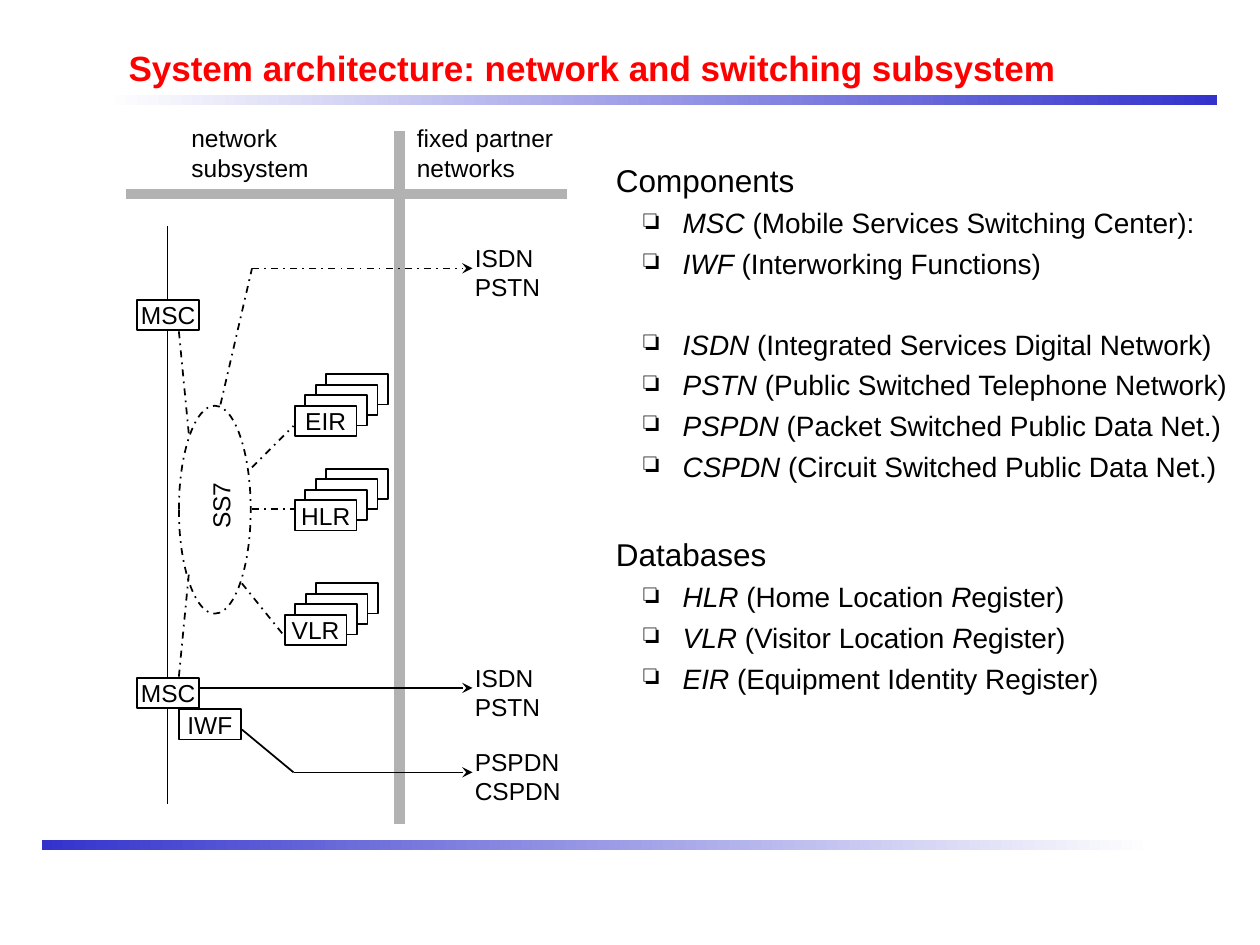
from lxml.etree import SubElement
from pptx import Presentation
from pptx.dml.color import RGBColor
from pptx.enum.dml import MSO_LINE
from pptx.enum.shapes import MSO_CONNECTOR, MSO_SHAPE
from pptx.enum.text import MSO_ANCHOR, MSO_AUTO_SIZE, PP_ALIGN
from pptx.oxml.ns import qn
from pptx.util import Inches, Pt

BLACK = RGBColor(0x00, 0x00, 0x00)
WHITE = RGBColor(0xFF, 0xFF, 0xFF)
RED = RGBColor(0xFF, 0x00, 0x00)
BLUE = RGBColor(0x33, 0x33, 0xCC)
GREY = RGBColor(0xB2, 0xB2, 0xB2)
FONT = "Arial"
BOX_WIDTH, BOX_HEIGHT = 0.49, 0.24
CARD_COUNT = 4
CARD_STEP = 0.25 / 3

COMPONENTS = [
    "*MSC* (Mobile Services Switching Center):",
    "*IWF* (Interworking Functions)",
]
NETWORKS = [
    "*ISDN* (Integrated Services Digital Network)",
    "*PSTN* (Public Switched Telephone Network)",
    "*PSPDN* (Packet Switched Public Data Net.)",
    "*CSPDN* (Circuit Switched Public Data Net.)",
]
DATABASES = [
    "*HLR* (Home Location *R*egister)",
    "*VLR* (Visitor Location *R*egister)",
    "*EIR* (Equipment Identity Register)",
]


def style_font(font, size, color=BLACK, bold=False, italic=False):
    """Set the typeface, size, colour and style of a font."""
    font.name = FONT
    font.size = Pt(size)
    font.color.rgb = color
    font.bold = bold
    font.italic = italic


def add_title(slide, wording):
    """Place and format the title placeholder."""
    title = slide.shapes.title
    title.left, title.top = Inches(0.92), Inches(0.25)
    title.width, title.height = Inches(8.5), Inches(0.5)
    frame = title.text_frame
    frame.text = wording
    frame.auto_size = MSO_AUTO_SIZE.NONE
    frame.vertical_anchor = MSO_ANCHOR.BOTTOM
    heading = frame.paragraphs[0]
    heading.alignment = PP_ALIGN.LEFT
    style_font(heading.runs[0].font, 20, RED, bold=True)


def add_bar(slide, left, top, colors):
    """Add a horizontal bar that fades between two colours."""
    bar = slide.shapes.add_shape(
        MSO_SHAPE.RECTANGLE, Inches(left), Inches(top), Inches(8.83), Inches(0.08))
    bar.shadow.inherit = False
    bar.line.fill.background()
    bar.fill.gradient()
    bar.fill.gradient_angle = 0
    for stop, color in zip(bar.fill.gradient_stops, colors):
        stop.color.rgb = color


def add_line(slide, start, end, color=BLACK, width=1, dashed=False, arrow=False):
    """Add a straight line, optionally dash-dotted or with an arrowhead."""
    line = slide.shapes.add_connector(
        MSO_CONNECTOR.STRAIGHT, *(Inches(value) for value in (*start, *end)))
    line.line.color.rgb = color
    line.line.width = Pt(width)
    if dashed:
        line.line.dash_style = MSO_LINE.DASH_DOT
    properties = line._element.spPr
    if arrow:
        SubElement(properties.find(qn("a:ln")), qn("a:tailEnd"), type="stealth")
    SubElement(properties, qn("a:effectLst"))


def add_outline(slide, kind, left, top, width, height, filled=False):
    """Add a black outlined shape and return it."""
    outline = slide.shapes.add_shape(
        kind, Inches(left), Inches(top), Inches(width), Inches(height))
    outline.shadow.inherit = False
    outline.line.color.rgb = BLACK
    outline.line.width = Pt(1)
    if filled:
        outline.fill.solid()
        outline.fill.fore_color.rgb = WHITE
    else:
        outline.fill.background()
    return outline


def add_box(slide, left, top, wording="", filled=False):
    """Add one network element box with an optional name."""
    box = add_outline(
        slide, MSO_SHAPE.RECTANGLE, left, top, BOX_WIDTH, BOX_HEIGHT, filled)
    if wording:
        frame = box.text_frame
        frame.text = wording
        frame.word_wrap = False
        frame.vertical_anchor = MSO_ANCHOR.MIDDLE
        frame.paragraphs[0].alignment = PP_ALIGN.CENTER
        style_font(frame.paragraphs[0].runs[0].font, 14)


def add_register(slide, left, top, wording):
    """Add a stack of boxes with the name on the front one."""
    for depth in reversed(range(CARD_COUNT)):
        offset = depth * CARD_STEP
        add_box(slide, left + offset, top - offset, "" if depth else wording, True)


def add_label(slide, left, top, width, wording, height=0.57, rotation=0):
    """Add a plain label."""
    label = slide.shapes.add_textbox(
        Inches(left), Inches(top), Inches(width), Inches(height))
    label.rotation = rotation
    label.text_frame.word_wrap = True
    label.text_frame.text = wording
    for paragraph in label.text_frame.paragraphs:
        style_font(paragraph.runs[0].font, 14)


def add_entry(paragraph, wording, size, before, bulleted):
    """Fill a paragraph, setting the parts between asterisks in italics."""
    paragraph.space_before = Pt(before)
    properties = paragraph._p.get_or_add_pPr()
    properties.set("marL", str(Inches(0.63 if bulleted else 0.1)))
    properties.set("indent", str(Inches(-0.31 if bulleted else 0)))
    if bulleted:
        paragraph.level = 1
        bullet_color = SubElement(properties, qn("a:buClr"))
        SubElement(bullet_color, qn("a:srgbClr"), val=str(BLACK))
        SubElement(properties, qn("a:buChar"), char="❏")
    for index, part in enumerate(wording.split("*")):
        if part:
            run = paragraph.add_run()
            run.text = part
            style_font(run.font, size, italic=index % 2 == 1)


def add_glossary(slide):
    """Add the list of components and databases."""
    glossary = slide.shapes.add_textbox(
        Inches(4.69), Inches(1.23), Inches(5.22), Inches(5.81))
    frame = glossary.text_frame
    frame.word_wrap = True
    add_entry(frame.paragraphs[0], "Components", 18, 4.5, False)
    for group, first_gap in ((COMPONENTS, 4), (NETWORKS, 27), (DATABASES, 4)):
        if group is DATABASES:
            add_entry(frame.add_paragraph(), "Databases", 18, 30, False)
        for index, entry in enumerate(group):
            add_entry(frame.add_paragraph(), entry, 16, 4 if index else first_gap, True)


def add_architecture(slide):
    """Draw the network subsystem and its links to partner networks."""
    add_line(slide, (3.17, 1.04), (3.17, 6.54), GREY, 6)
    add_line(slide, (1, 1.54), (4.5, 1.54), GREY, 6)
    for start, end in ((1.79, 2.38), (2.63, 5.38), (5.63, 6.38)):
        add_line(slide, (1.33, start), (1.33, end))
    for left, top, name in ((1.09, 2.38, "MSC"), (1.09, 5.38, "MSC"), (1.42, 5.63, "IWF")):
        add_box(slide, left, top, name)
    signalling = add_outline(slide, MSO_SHAPE.OVAL, 1.42, 3.22, 0.57, 1.65)
    signalling.line.dash_style = MSO_LINE.DASH_DOT
    for left, top, name in ((2.34, 3.22, "EIR"), (2.34, 3.97, "HLR"), (2.26, 4.88, "VLR")):
        add_register(slide, left, top, name)
    for start, end in (
        ((1.42, 2.63), (1.5, 3.46)),
        ((1.42, 5.37), (1.5, 4.54)),
        ((2, 3.71), (2.33, 3.38)),
        ((2, 4.04), (2.33, 4.04)),
        ((1.92, 4.63), (2.25, 5.04)),
        ((1.75, 3.21), (2, 2.13)),
    ):
        add_line(slide, start, end, dashed=True)
    add_line(slide, (1.92, 5.79), (2.33, 6.13))
    for left, top, dashed in ((2, 2.13, True), (1.58, 5.46, False), (2.33, 6.13, False)):
        add_line(slide, (left, top), (3.75, top), dashed=dashed, arrow=True)
    add_label(slide, 1.42, 0.93, 1.45, "network\nsubsystem")
    add_label(slide, 3.21, 0.93, 1.36, "fixed partner\nnetworks")
    for top, networks in ((1.88, "ISDN\nPSTN"), (5.21, "ISDN\nPSTN"), (5.88, "PSPDN\nCSPDN")):
        add_label(slide, 3.67, top, 0.9, networks)
    add_label(slide, 1.35, 3.73, 0.8, "SS7", 0.33, 270)


def main():
    """Build and save the slide."""
    deck = Presentation()
    deck.slide_width, deck.slide_height = Inches(10), Inches(7.5)
    slide = deck.slides.add_slide(deck.slide_layouts[5])
    add_bar(slide, 0.83, 0.75, (WHITE, BLUE))
    add_bar(slide, 0.33, 6.67, (BLUE, WHITE))
    add_title(slide, "System architecture: network and switching subsystem")
    add_glossary(slide)
    add_architecture(slide)
    deck.save("out.pptx")


if __name__ == "__main__":
    main()
